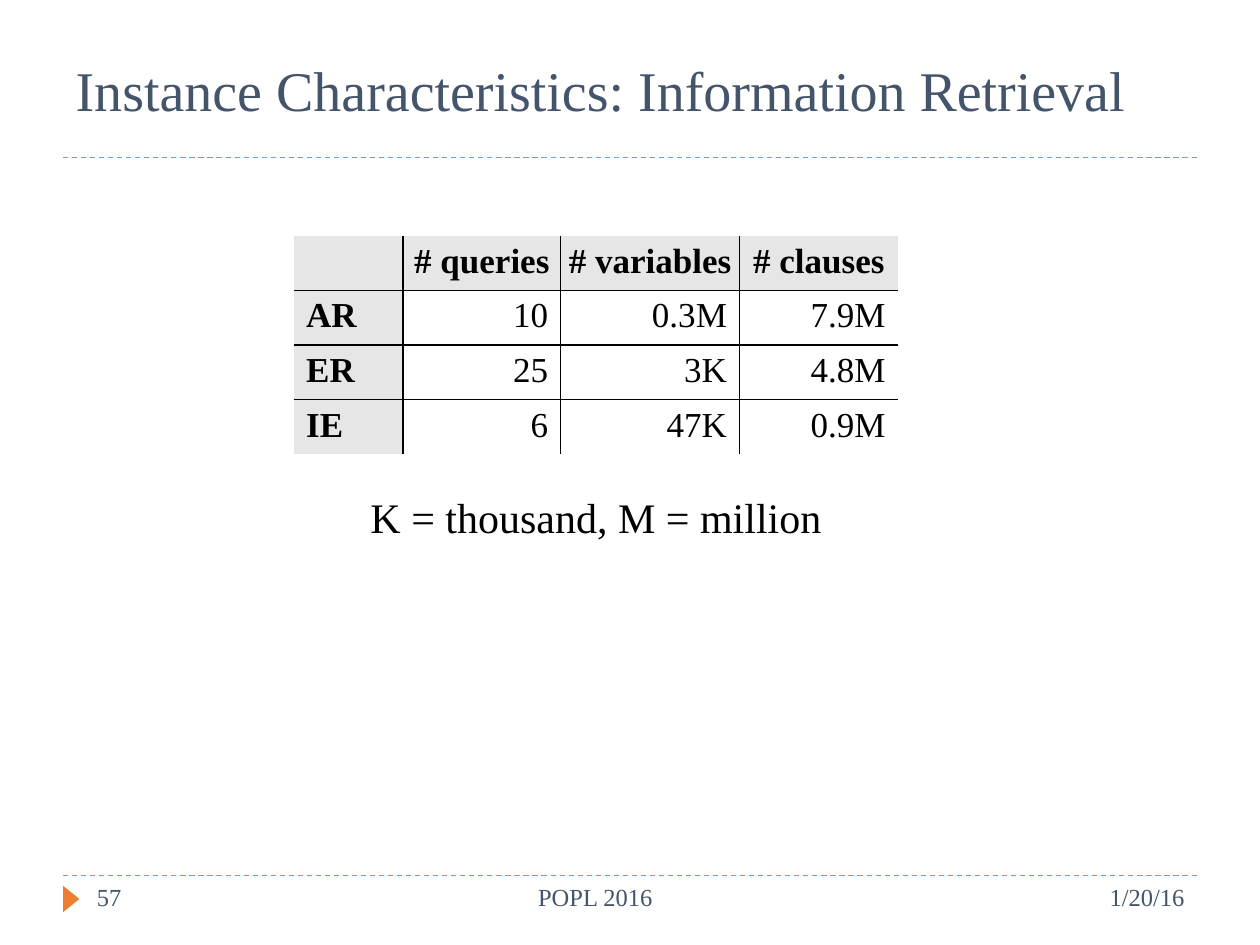
from pptx import Presentation
from pptx import util as u
from pptx.dml.color import RGBColor
from pptx.enum import dml, shapes, text
from pptx.oxml.ns import qn
from lxml import etree

In = u.Inches
AL = text.PP_ALIGN


class Deck:
    font = "Times New Roman"
    colors = {"title": "44546A", "accent": "ED7D31", "head": "E7E6E6", "ink": "000000"}

    def __init__(self):
        self.prs = Presentation()
        self.prs.slide_width, self.prs.slide_height = In(10), In(7.5)
        self.s = self.prs.slides.add_slide(self.prs.slide_layouts[5])

    def rgb(self, name):
        return RGBColor.from_string(self.colors[name])

    def add_text(self, tf, words, size, color, align=AL.LEFT, bold=False):
        p = tf.paragraphs[0]
        p.alignment = align
        r = p.add_run()
        r.text = words
        r.font.name, r.font.size, r.font.bold = self.font, u.Pt(size), bold
        r.font.color.rgb = self.rgb(color)

    def title(self, words, box):
        sp = self.s.shapes.title
        sp.left, sp.top, sp.width, sp.height = map(In, box)
        sp.text_frame.vertical_anchor = text.MSO_ANCHOR.MIDDLE
        self.add_text(sp.text_frame, words, 32, "title")

    def label(self, words, box, size, color, align=AL.LEFT):
        tf = self.s.shapes.add_textbox(*map(In, box)).text_frame
        tf.word_wrap = True
        self.add_text(tf, words, size, color, align)

    def rule(self, y):
        c = self.s.shapes.add_connector(shapes.MSO_CONNECTOR.STRAIGHT,
                                        In(0.5), In(y), In(9.5), In(y))
        c.line.color.rgb = self.rgb("accent")
        c.line.width = u.Pt(0.75)
        c.line.dash_style = dml.MSO_LINE.DASH
        etree.SubElement(c._element.spPr, qn("a:effectLst"))

    def marker(self, box):
        sp = self.s.shapes.add_shape(shapes.MSO_SHAPE.ISOSCELES_TRIANGLE, *map(In, box))
        sp.rotation = 90
        sp.shadow.inherit = False
        sp.fill.solid()
        sp.fill.fore_color.rgb = self.rgb("accent")
        sp.line.fill.background()

    def border(self, cell, side, shown):
        ln = etree.SubElement(cell._tc.get_or_add_tcPr(), qn("a:ln" + side), w=str(u.Pt(1)))
        if shown:
            fill = etree.SubElement(ln, qn("a:solidFill"))
            etree.SubElement(fill, qn("a:srgbClr"), val=self.colors["ink"])
        else:
            etree.SubElement(ln, qn("a:noFill"))

    def table(self, rows, left, top, widths, height):
        last_row, last_col = len(rows) - 1, len(widths) - 1
        tbl = self.s.shapes.add_table(len(rows), len(widths), In(left), In(top),
                                      In(sum(widths)), In(height * len(rows))).table
        tbl.first_row = tbl.horz_banding = False
        for col, width in zip(tbl.columns, widths):
            col.width = In(width)
        for i, row in enumerate(rows):
            tbl.rows[i].height = In(height)
            for j, words in enumerate(row):
                cell = tbl.cell(i, j)
                inner = {"L": j > 0, "R": j < last_col, "T": i > 0, "B": i < last_row}
                for side, shown in inner.items():
                    self.border(cell, side, shown)
                head = i == 0 or j == 0
                if head:
                    cell.fill.solid()
                    cell.fill.fore_color.rgb = self.rgb("head")
                else:
                    cell.fill.background()
                if i == 0 and j > 0:
                    cell.margin_left = cell.margin_right = 0
                align = AL.LEFT if j == 0 else AL.CENTER if i == 0 else AL.RIGHT
                if words:
                    self.add_text(cell.text_frame, words, 20, "ink", align, head)


def main():
    d = Deck()
    for y in (6.95, 1.25):
        d.rule(y)
    d.marker((0.46, 7.07, 0.21, 0.13))
    d.label("1/20/16", (7, 6.95, 2.5, 0.4), 14, "title", AL.RIGHT)
    d.label("57", (0.67, 6.95, 0.89, 0.4), 14, "title")
    d.label("POPL 2016", (1.56, 6.95, 6.33, 0.4), 14, "title", AL.CENTER)
    d.title("Instance Characteristics: Information Retrieval", (0.5, 0.17, 9, 1.08))
    d.table([
        ["", "# queries", "# variables", "# clauses"],
        ["AR", "10", "0.3M", "7.9M"],
        ["ER", "25", "3K", "4.8M"],
        ["IE", "6", "47K", "0.9M"],
    ], 2.33, 1.87, [0.87, 1.25, 1.42, 1.26], 0.41)
    d.label("K = thousand, M = million", (2.67, 3.85, 4.12, 0.5), 24, "ink", AL.CENTER)
    d.prs.save("out.pptx")


if __name__ == "__main__":
    main()
